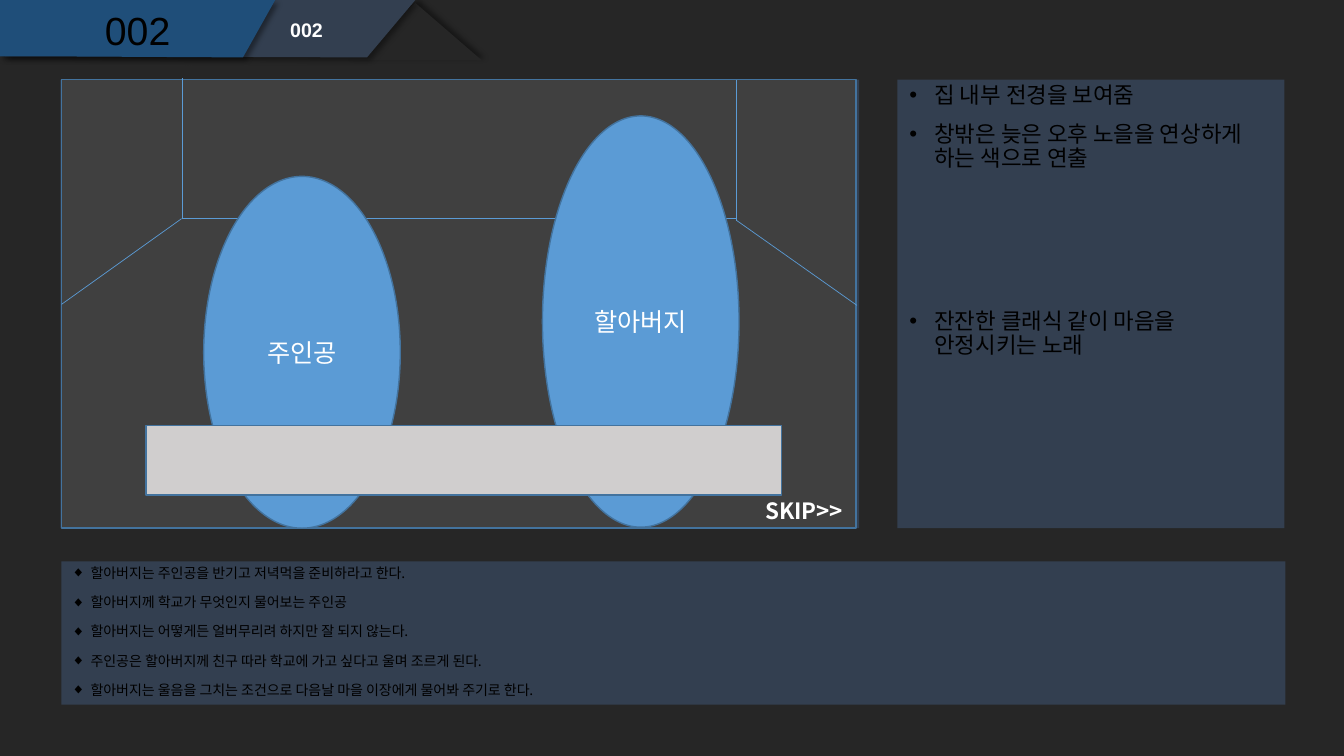
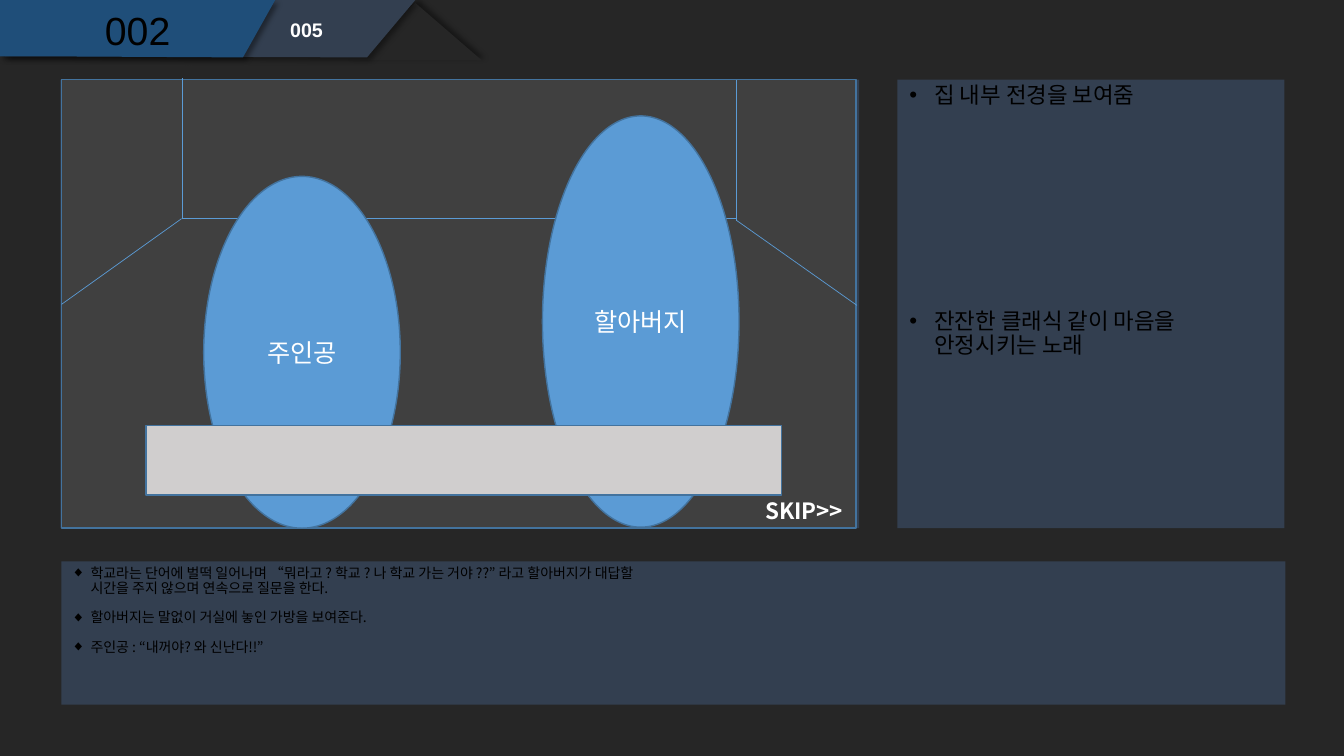
from lxml import etree
from pptx import Presentation, util as u
from pptx.dml.color import RGBColor
from pptx.enum import shapes, text
from pptx.oxml.ns import qn

# Content
CHAPTER = "002"
VIEW = "집 내부 전경을 보여줌"
MUSIC = "잔잔한 클래식 같이 마음을 안정시키는 노래"
SCENES = [
    {"cut": "002",
     "view": [VIEW, "창밖은 늦은 오후 노을을 연상하게 하는 색으로 연출"],
     "story": ["할아버지는 주인공을 반기고 저녁먹을 준비하라고 한다.",
               "할아버지께 학교가 무엇인지 물어보는 주인공",
               "할아버지는 어떻게든 얼버무리려 하지만 잘 되지 않는다.",
               "주인공은 할아버지께 친구 따라 학교에 가고 싶다고 울며 조르게 된다.",
               "할아버지는 울음을 그치는 조건으로 다음날 마을 이장에게 물어봐 주기로 한다."]},
    {"cut": "005",
     "view": [VIEW],
     "story": ["학교라는 단어에 벌떡 일어나며 “뭐라고 ? 학교 ? 나 학교 가는 거야 ??” "
               "라고 할아버지가 대답할 시간을 주지 않으며 연속으로 질문을 한다.",
               "할아버지는 말없이 거실에 놓인 가방을 보여준다.",
               "주인공 : “내꺼야? 와 신난다!!”"]},
]
CHARACTERS = [("할아버지", (5.38, 1.15, 1.95, 4.08)),
              ("주인공", (2.02, 1.75, 1.95, 3.49))]

# Shared look
SANS, KOREAN = "Arial", "Noto Sans CJK KR"
DARK, NAVY, BLUE, STAGE = "262626", "333F50", "1F4E79", "404040"
SKY, EDGE, TABLE, WHITE, BLACK = "5B9BD5", "43739E", "D0CECE", "FFFFFF", "000000"
TOP, HEIGHT = 0.79, 4.45
PANELS = [(0.6, TOP, 7.92, HEIGHT), (8.9, TOP, 3.84, HEIGHT), (0.61, 5.57, 12.14, 1.42)]
BANDS = [(NAVY, [(0.05, 0), (4.12, 0), (3.64, 0.57), (0.9, 0.56), (0.05, 0.56)]),
         (BLUE, [(0, 0), (2.73, 0), (2.41, 0.57), (0.57, 0.56), (0, 0.56)])]
ROOM_LINES = [((0.61, 3.02), (1.8, 2.17)), ((1.81, 2.17), (1.81, 0.77)),
              ((1.81, 2.17), (7.31, 2.17)), ((8.5, 3.03), (7.31, 2.19)),
              ((7.3, 2.19), (7.3, TOP))]


def rgb(color):
    return RGBColor.from_string(color)


def inches(values):
    return [u.Inches(v) for v in values]


def paint(shape, fill, edge=None, shadow_angle=None):
    shape.shadow.inherit = False
    shape.fill.solid()
    shape.fill.fore_color.rgb = rgb(fill)
    if edge:
        shape.line.color.rgb = rgb(edge)
        shape.line.width = u.Pt(1)
    else:
        shape.line.fill.background()
    if shadow_angle is not None:
        effects = shape._element.spPr.find(qn("a:effectLst"))
        shadow = etree.SubElement(effects, qn("a:outerShdw"), blurRad=str(u.Pt(4)),
                                  dist=str(u.Pt(3)), dir=str(shadow_angle * 60000),
                                  algn="tl", rotWithShape="0")
        black = etree.SubElement(shadow, qn("a:srgbClr"), val=BLACK)
        etree.SubElement(black, qn("a:alpha"), val="40000")


def add_block(slide, kind, box, fill, edge=None, shadow_angle=None):
    block = slide.shapes.add_shape(kind, *inches(box))
    paint(block, fill, edge, shadow_angle)
    return block


def style(paragraph, size, face, color, bold=False, align=None):
    font = paragraph.font
    font.size, font.name, font.bold = u.Pt(size), face, bold
    font.color.rgb = rgb(color)
    etree.SubElement(paragraph._p.pPr.find(qn("a:defRPr")), qn("a:ea"), typeface=face)
    if align:
        paragraph.alignment = align


def add_text(slide, box, lines, size, face=KOREAN, color=BLACK, bold=False,
             align=None, bullet=None, indent=0, spacing=0.9):
    frame = slide.shapes.add_textbox(*inches(box)).text_frame
    frame.word_wrap = True
    for i, line in enumerate(lines):
        paragraph = frame.add_paragraph() if i else frame.paragraphs[0]
        paragraph.text = line
        paragraph.line_spacing = spacing
        if i:
            paragraph.space_before = u.Pt(10)
        if bullet:
            props = paragraph._p.get_or_add_pPr()
            props.set("marL", str(u.Inches(indent)))
            props.set("indent", str(-u.Inches(indent)))
            etree.SubElement(props, qn("a:buFont"), typeface=SANS)
            etree.SubElement(props, qn("a:buChar"), char=bullet)
        style(paragraph, size, face, color, bold, align)
    return frame


def add_frame(slide, cut):
    """Background, header bands, panels and numbers."""
    slide.background.fill.solid()
    slide.background.fill.fore_color.rgb = rgb(DARK)
    add_block(slide, shapes.MSO_SHAPE.ISOSCELES_TRIANGLE, (3.46, 0.03, 1.32, 0.57),
              DARK, shadow_angle=315)
    for color, corners in BANDS:
        start, *rest = [inches(corner) for corner in corners]
        outline = slide.shapes.build_freeform(*start, scale=1.0)
        outline.add_line_segments(rest, close=True)
        paint(outline.convert_to_shape(), color, shadow_angle=45)
    for box in PANELS:
        add_block(slide, shapes.MSO_SHAPE.RECTANGLE, box, NAVY)
    add_text(slide, (2.78, 0.15, 1, 0.32), [cut], 14, SANS, WHITE, bold=True)
    chapter = add_text(slide, (0.61, 0.06, 1.51, 0.53), [CHAPTER], 28, SANS,
                       align=text.PP_ALIGN.CENTER)
    chapter.vertical_anchor = text.MSO_ANCHOR.MIDDLE


def add_stage(slide):
    """Sketch of the room with both characters behind the table."""
    add_block(slide, shapes.MSO_SHAPE.RECTANGLE, (0.61, TOP, 7.88, HEIGHT), STAGE, EDGE)
    skip = add_text(slide, (7.49, 4.88, 1, 0.37), ["SKIP>>"], 16, color=WHITE,
                    bold=True, spacing=1.0)
    skip.word_wrap = False
    skip.auto_size = text.MSO_AUTO_SIZE.SHAPE_TO_FIT_TEXT
    for start, end in ROOM_LINES:
        wall = slide.shapes.add_connector(shapes.MSO_CONNECTOR.STRAIGHT,
                                          *inches(start + end))
        wall.line.color.rgb = rgb(SKY)
        wall.line.width = u.Pt(0.5)
        etree.SubElement(wall._element.spPr, qn("a:effectLst"))
    for name, box in CHARACTERS:
        character = add_block(slide, shapes.MSO_SHAPE.OVAL, box, SKY, EDGE)
        character.text_frame.text = name
        character.text_frame.vertical_anchor = text.MSO_ANCHOR.MIDDLE
        style(character.text_frame.paragraphs[0], 18, KOREAN, WHITE,
              align=text.PP_ALIGN.CENTER)
    add_block(slide, shapes.MSO_SHAPE.RECTANGLE, (1.45, 4.22, 6.3, 0.69), TABLE, EDGE)


def main():
    deck = Presentation()
    deck.slide_width, deck.slide_height = inches((13.33, 7.5))
    for scene in SCENES:
        slide = deck.slides.add_slide(deck.slide_layouts[6])
        add_frame(slide, scene["cut"])
        for top, notes in ((TOP, scene["view"]), (3.03, [MUSIC])):
            add_text(slide, (8.92, top, 3.84, 2.21), notes, 16, bullet="•", indent=0.25)
        add_text(slide, (0.61, 5.57, 6.06, 1.42), scene["story"], 10,
                 bullet="◆", indent=0.19)
        add_stage(slide)
    deck.save("out.pptx")


if __name__ == "__main__":
    main()
